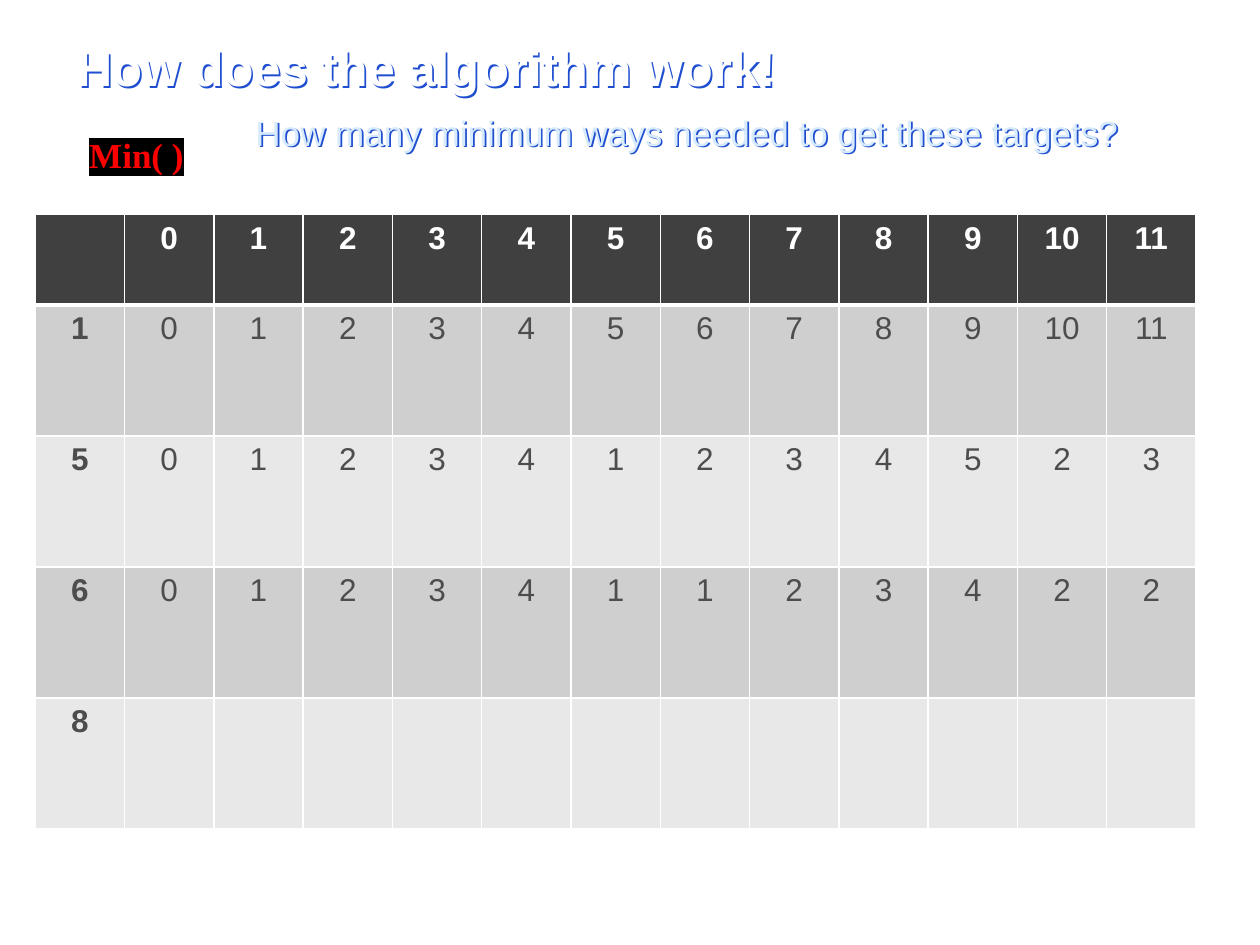
"""Build a slide that tabulates the minimum number of coins for each target."""
import lxml.etree
import pptx
import pptx.dml.color
import pptx.enum.text
import pptx.oxml.ns
import pptx.oxml.xmlchemy
import pptx.util

Cm = pptx.util.Cm
Pt = pptx.util.Pt
qn = pptx.oxml.ns.qn
OxmlElement = pptx.oxml.xmlchemy.OxmlElement


def colour(value):
    return pptx.dml.color.RGBColor.from_string(value)


def solid_fill(parent, value):
    fill = lxml.etree.SubElement(parent, qn("a:solidFill"))
    lxml.etree.SubElement(fill, qn("a:srgbClr"), val=value)


class SlideBuilder:
    font = "Arial"
    white = "FFFFFF"
    header_fill = "404040"
    band_fills = ("CFCFCF", "E8E8E8")
    body_text = "4D4D4D"
    shadow_blue = "1F4FD0"

    def __init__(self, page):
        self.page = page

    def span(self, para, text, size, value, bold=False, font=None):
        span = para.add_run()
        span.text = text
        span.font.size = Pt(size)
        span.font.bold = bold
        span.font.color.rgb = colour(value)
        span.font.name = font or self.font
        return span

    def text_box(self, left, top, width, height, wrap=True):
        box = self.page.shapes.add_textbox(Cm(left), Cm(top), Cm(width), Cm(height))
        box.text_frame.word_wrap = wrap
        return box

    def heading(self, left, top, text, size, value, bold=False):
        box = self.text_box(left, top, 21.4, 1.42)
        box.text_frame.vertical_anchor = pptx.enum.text.MSO_ANCHOR.MIDDLE
        para = box.text_frame.paragraphs[0]
        para.line_spacing = 0.9
        self.span(para, text, size, value, bold)
        effects = lxml.etree.SubElement(box.element.spPr, qn("a:effectLst"))
        shadow = lxml.etree.SubElement(
            effects, qn("a:outerShdw"), dist=str(int(Pt(1.4))), dir="2700000")
        lxml.etree.SubElement(shadow, qn("a:srgbClr"), val=self.shadow_blue)

    def label(self, left, top, text, size, value, highlight, font):
        box = self.text_box(left, top, 2.44, 1.12, wrap=False)
        box.text_frame.auto_size = pptx.enum.text.MSO_AUTO_SIZE.SHAPE_TO_FIT_TEXT
        para = box.text_frame.paragraphs[0]
        span = self.span(para, text, size, value, True, font)
        mark = OxmlElement("a:highlight")
        lxml.etree.SubElement(mark, qn("a:srgbClr"), val=highlight)
        span.font._element.find(qn("a:solidFill")).addnext(mark)

    def cell(self, cell, text, fill, value, bold, bottom, top):
        cell.fill.solid()
        cell.fill.fore_color.rgb = colour(fill)
        widths = {"L": 1, "R": 1, "T": top, "B": bottom}
        for index, (side, width) in enumerate(widths.items()):
            border = OxmlElement(f"a:ln{side}")
            border.set("w", str(int(Pt(width))))
            solid_fill(border, self.white)
            cell._tc.get_or_add_tcPr().insert(index, border)
        para = cell.text_frame.paragraphs[0]
        para.alignment = pptx.enum.text.PP_ALIGN.CENTER
        if text:
            self.span(para, text, 18, value, bold)

    def table(self, left, top, column_width, row_heights, rows):
        columns = len(rows[0])
        table = self.page.shapes.add_table(
            len(rows), columns, Cm(left), Cm(top),
            Cm(column_width * columns), Cm(sum(row_heights))).table
        for column in table.columns:
            column.width = Cm(column_width)
        for r, (height, row) in enumerate(zip(row_heights, rows)):
            table.rows[r].height = Cm(height)
            header = r == 0
            fill = self.header_fill if header else self.band_fills[(r - 1) % 2]
            value = self.white if header else self.body_text
            for c, text in enumerate(row):
                self.cell(table.cell(r, c), text, fill, value, header or c == 0,
                          bottom=3 if header else 1, top=3 if r == 1 else 1)


def main():
    deck = pptx.Presentation()
    deck.slide_width, deck.slide_height = Cm(25.4), Cm(19.05)
    builder = SlideBuilder(deck.slides.add_slide(deck.slide_layouts[6]))

    targets = range(12)
    minimum_counts = {
        1: targets,
        5: [0, 1, 2, 3, 4, 1, 2, 3, 4, 5, 2, 3],
        6: [0, 1, 2, 3, 4, 1, 1, 2, 3, 4, 2, 2],
        8: [""] * len(targets),
    }
    rows = [["", *map(str, targets)]]
    rows += [[str(coin), *map(str, counts)] for coin, counts in minimum_counts.items()]

    builder.heading(1.3, 0.71, "How does the algorithm work!", 28, "FFFFFF", bold=True)
    builder.table(0.71, 4.32, 1.8, [1.83] + [2.64] * len(minimum_counts), rows)
    builder.label(1.55, 2.57, "Min( )", 20, "FF0000", "000000", "Times New Roman")
    builder.heading(4.9, 2.01, "How many minimum ways needed to get these targets?",
                    20, "D8EBFC")
    deck.save("out.pptx")


if __name__ == "__main__":
    main()
